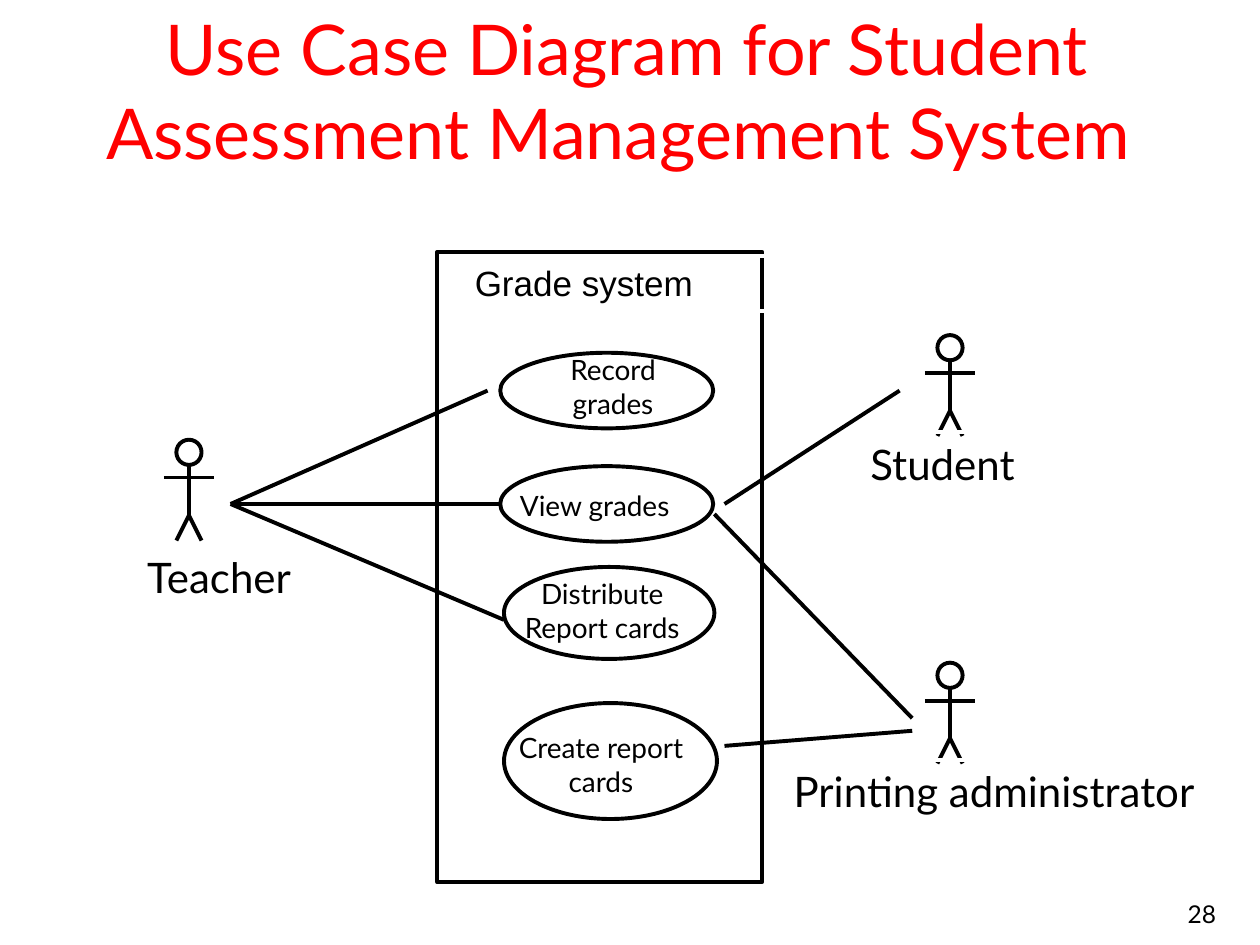
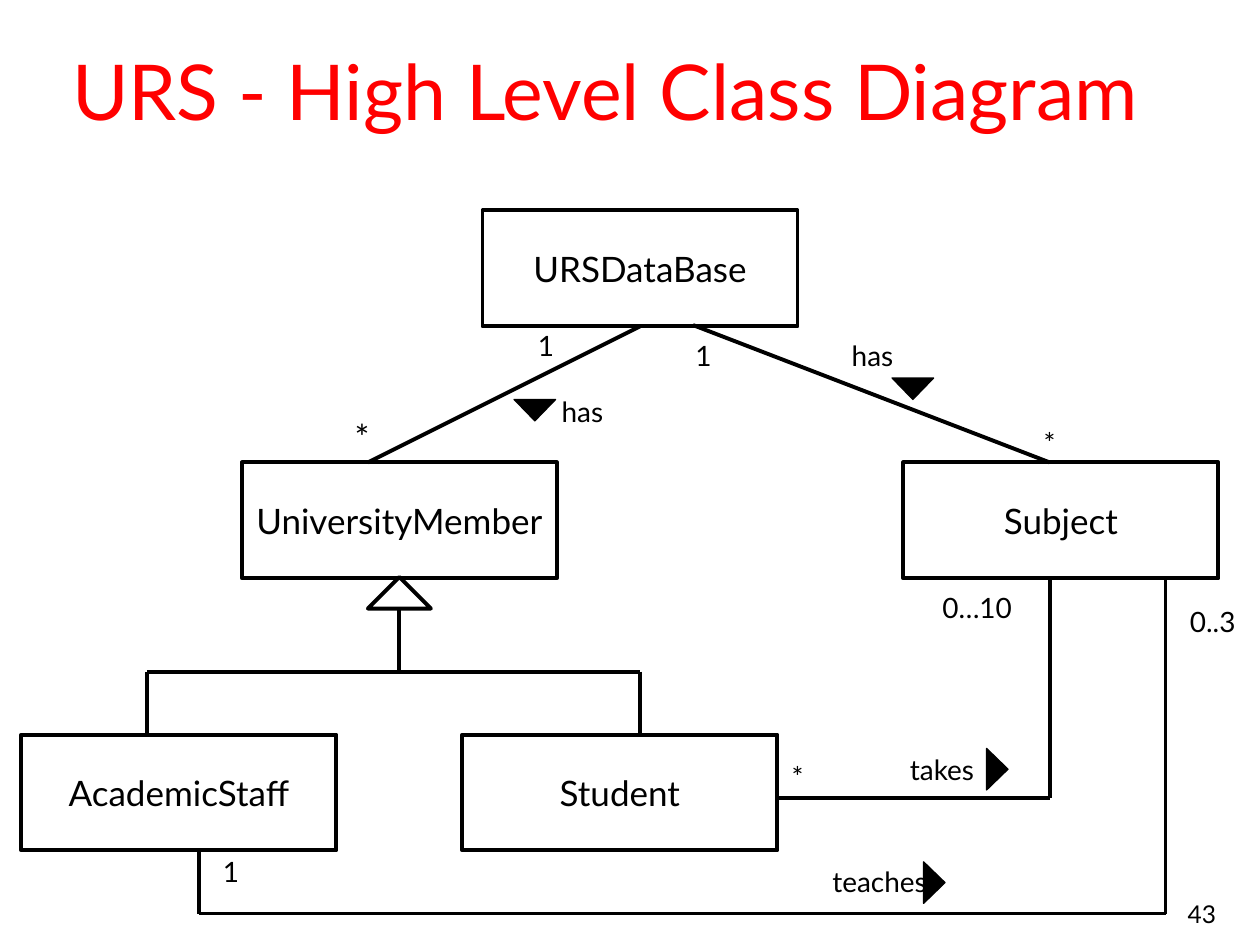
from itertools import pairwise

from lxml.etree import SubElement
from pptx import Presentation
from pptx.dml.color import RGBColor
from pptx.enum.shapes import MSO_CONNECTOR, MSO_SHAPE
from pptx.enum.text import MSO_ANCHOR as ANCHOR
from pptx.enum.text import MSO_AUTO_SIZE as AUTO
from pptx.enum.text import PP_ALIGN as ALIGN
from pptx.oxml.ns import qn
from pptx.util import Inches, Pt

BLACK = RGBColor(0, 0, 0)
WHITE = RGBColor(255, 255, 255)
RED = RGBColor(255, 0, 0)
FONT = "Lato"
STROKE = 2.25
CLASS_W, CLASS_H = 2.5, 0.92


# Shared drawing helpers; boxes are (left, top, width, height) in inches
def write(tf, text, size, color=BLACK, align=ALIGN.CENTER, font=FONT):
    tf.text = text
    for p in tf.paragraphs:
        p.alignment = align
        for r in p.runs:
            r.font.size = Pt(size)
            r.font.name = font
            r.font.color.rgb = color


def add_label(shapes, text, box, size=16, wrap=False, outline=None, **style):
    tb = shapes.add_textbox(*map(Inches, box))
    tf = tb.text_frame
    tf.word_wrap = wrap
    tf.auto_size = AUTO.SHAPE_TO_FIT_TEXT
    if outline is not None:
        tb.line.color.rgb = outline
        tb.line.width = Pt(STROKE)
    write(tf, text, size, **style)
    return tb


def style_outline(sp, fill=None, width=STROKE):
    sp.shadow.inherit = False
    if fill is None:
        sp.fill.background()
    else:
        sp.fill.solid()
        sp.fill.fore_color.rgb = fill
    sp.line.color.rgb = BLACK
    sp.line.width = Pt(width)


def add_outline(shapes, kind, box, fill=None, width=STROKE):
    sp = shapes.add_shape(kind, *map(Inches, box))
    style_outline(sp, fill, width)
    return sp


def add_line(shapes, start, end):
    line = shapes.add_connector(MSO_CONNECTOR.STRAIGHT, *map(Inches, (*start, *end)))
    line.line.color.rgb = BLACK
    line.line.width = Pt(STROKE)
    SubElement(line._element.spPr, qn("a:effectLst"))
    return line


def add_path(shapes, *points):
    for start, end in pairwise(points):
        add_line(shapes, start, end)


def new_slide(prs, title, left, size, number):
    s = prs.slides.add_slide(prs.slide_layouts[6])
    for text, box, pt, color, align, anchor in (
        (number, (7.67, 6.92, 2.08, 0.5), 14, BLACK, ALIGN.RIGHT, ANCHOR.BOTTOM),
        (title, (left, 0.17, 9.61, 1.08), size, RED, ALIGN.CENTER, ANCHOR.MIDDLE),
    ):
        tf = s.shapes.add_textbox(*map(Inches, box)).text_frame
        tf.word_wrap = True
        tf.vertical_anchor = anchor
        write(tf, text, pt, color, align)
    return s


# Use case diagram
def add_actor(shapes, left, top):
    """Stick figure, 0.4 wide and 0.8 high."""
    figure = shapes.add_group_shape().shapes
    mid = left + 0.2
    add_outline(figure, MSO_SHAPE.OVAL, (left + 0.1, top, 0.2, 0.2))
    add_line(figure, (mid, top + 0.2), (mid, top + 0.6))
    add_line(figure, (left, top + 0.3), (left + 0.4, top + 0.3))
    legs = figure.build_freeform(Inches(left + 0.1), Inches(top + 0.8))
    legs.add_line_segments(
        [(Inches(mid), Inches(top + 0.6)), (Inches(left + 0.3), Inches(top + 0.8))],
        close=False)
    style_outline(legs.convert_to_shape())


def add_grade_system(shapes, box):
    left, top, width, _ = box
    add_outline(shapes, MSO_SHAPE.RECTANGLE, box)
    add_label(shapes, "Grade system", (left + 0.2, top + 0.03, width - 0.11, 0.44),
              20, wrap=True, outline=WHITE, align=ALIGN.LEFT, font="Arial")
    # Offsets from the frame: ellipse box, label box
    use_cases = [
        ("Record grades", (0.5, 0.8, 1.69, 0.6), (0.95, 0.75, 0.89, 0.64), True),
        ("View grades", (0.5, 1.7, 1.69, 0.6), (0.52, 1.83, 1.46, 0.37), False),
        ("Distribute\nReport cards", (0.53, 2.5, 1.67, 0.73),
         (0.55, 2.53, 1.52, 0.64), False),
        ("Create report cards", (0.53, 3.58, 1.69, 0.92),
         (0.45, 3.75, 1.7, 0.64), True),
    ]
    for text, oval, label, wrap in use_cases:
        (ox, oy, *oval_size), (lx, ly, *label_size) = oval, label
        add_outline(shapes, MSO_SHAPE.OVAL, (left + ox, top + oy, *oval_size))
        add_label(shapes, text, (left + lx, top + ly, *label_size), wrap=wrap)


def build_use_case_slide(prs):
    s = new_slide(prs, "Use Case Diagram for Student Assessment Management System ",
                  0.17, 40, "28")
    shapes = s.shapes
    add_grade_system(shapes, (3.47, 2, 2.58, 5))

    actors = [
        ("Teacher", (1.3, 3.49), (1.07, 4.33, 1.45, 0.5)),
        ("Student", (7.34, 2.66), (6.81, 3.43, 1.43, 0.5)),
        ("Printing administrator", (7.34, 5.26), (6.2, 6.03, 3.68, 0.5)),
    ]
    for name, place, box in actors:
        add_actor(shapes, *place)
        add_label(shapes, name, box, 24, outline=WHITE, align=ALIGN.LEFT)

    # Links between actors and use cases
    teacher = (1.83, 4)
    for use_case in ((3.87, 3.1), (3.97, 4), (4, 4.92)):
        add_line(shapes, teacher, use_case)
    add_line(shapes, (7.14, 3.1), (5.75, 4))
    add_line(shapes, (7.24, 5.8), (5.75, 5.92))
    add_line(shapes, (7.24, 5.7), (5.67, 4.08))


# Class diagram
def add_class(shapes, name, left, top):
    sp = add_outline(shapes, MSO_SHAPE.RECTANGLE, (left, top, CLASS_W, CLASS_H), WHITE)
    tf = sp.text_frame
    tf.word_wrap = False
    tf.vertical_anchor = ANCHOR.MIDDLE
    write(tf, name, 20)
    return sp


def add_direction(shapes, left, top, rotation):
    sp = add_outline(shapes, MSO_SHAPE.ISOSCELES_TRIANGLE,
                     (left, top, 0.33, 0.17), BLACK, 0.75)
    sp.rotation = rotation


def add_generalization(shapes, parent, apex, children_x):
    """Hollow arrow under the parent, with a branch down to each child."""
    x, y = apex
    base, bar, child_top = y + 0.25, y + 0.75, y + 1.25
    left, right = children_x
    add_path(shapes, (left, child_top), (left, bar), (right, bar), (right, child_top))
    add_line(shapes, (x, bar), (x, base))
    add_outline(shapes, MSO_SHAPE.ISOSCELES_TRIANGLE, (x - 0.25, y, 0.5, 0.25), WHITE)


def build_class_slide(prs):
    s = new_slide(prs, "URS - High Level Class Diagram", 0, 44, "43")
    shapes = s.shapes
    database = add_class(shapes, "URSDataBase", 3.83, 1.67)
    member = add_class(shapes, "UniversityMember", 1.92, 3.67)
    for name, left, top in (("AcademicStaff", 0.17, 5.83),
                            ("Student", 3.67, 5.83),
                            ("Subject", 7.17, 3.67)):
        add_class(shapes, name, left, top)

    # Associations
    has_member = add_line(shapes, (5.08, 2.58), (2.92, 3.67))
    has_member.begin_connect(database, 2)
    add_line(shapes, (5.5, 2.58), (8.33, 3.67))
    add_generalization(shapes, member, (3.17, 4.58), (1.17, 5.08))
    add_path(shapes, (1.58, 6.75), (1.58, 7.25), (9.25, 7.25), (9.25, 4.58))
    add_path(shapes, (6.17, 6.33), (8.33, 6.33), (8.33, 4.58))

    # Multiplicities and association names
    for text, left, top, width in (
        ("1", 4.17, 2.56, 0.32), ("1", 5.42, 2.64, 0.32), ("1", 1.67, 6.73, 0.32),
        ("*", 8.17, 3.33, 0.32), ("*", 6.17, 5.98, 0.32),
        ("0..3", 9.34, 4.75, 0.57), ("0…10", 7.38, 4.64, 0.75),
        ("has ", 4.34, 3.08, 0.62), ("has", 6.64, 2.64, 0.57),
        ("teaches ", 6.48, 6.81, 1.06), ("takes ", 7.1, 5.92, 0.81),
    ):
        add_label(shapes, text, (left, top, width, 0.37))
    add_label(shapes, "*", (2.66, 3.25, 0.43, 0.44), 20, wrap=True)

    # Reading directions: 180 points down, 90 points right
    for left, top, rotation in ((4.08, 3.17, 180), (7.08, 3, 180),
                                (7.25, 6.92, 90), (7.75, 6.02, 90)):
        add_direction(shapes, left, top, rotation)


def main():
    prs = Presentation()
    prs.slide_width, prs.slide_height = Inches(10), Inches(7.5)
    build_use_case_slide(prs)
    build_class_slide(prs)
    prs.save("out.pptx")


if __name__ == "__main__":
    main()
